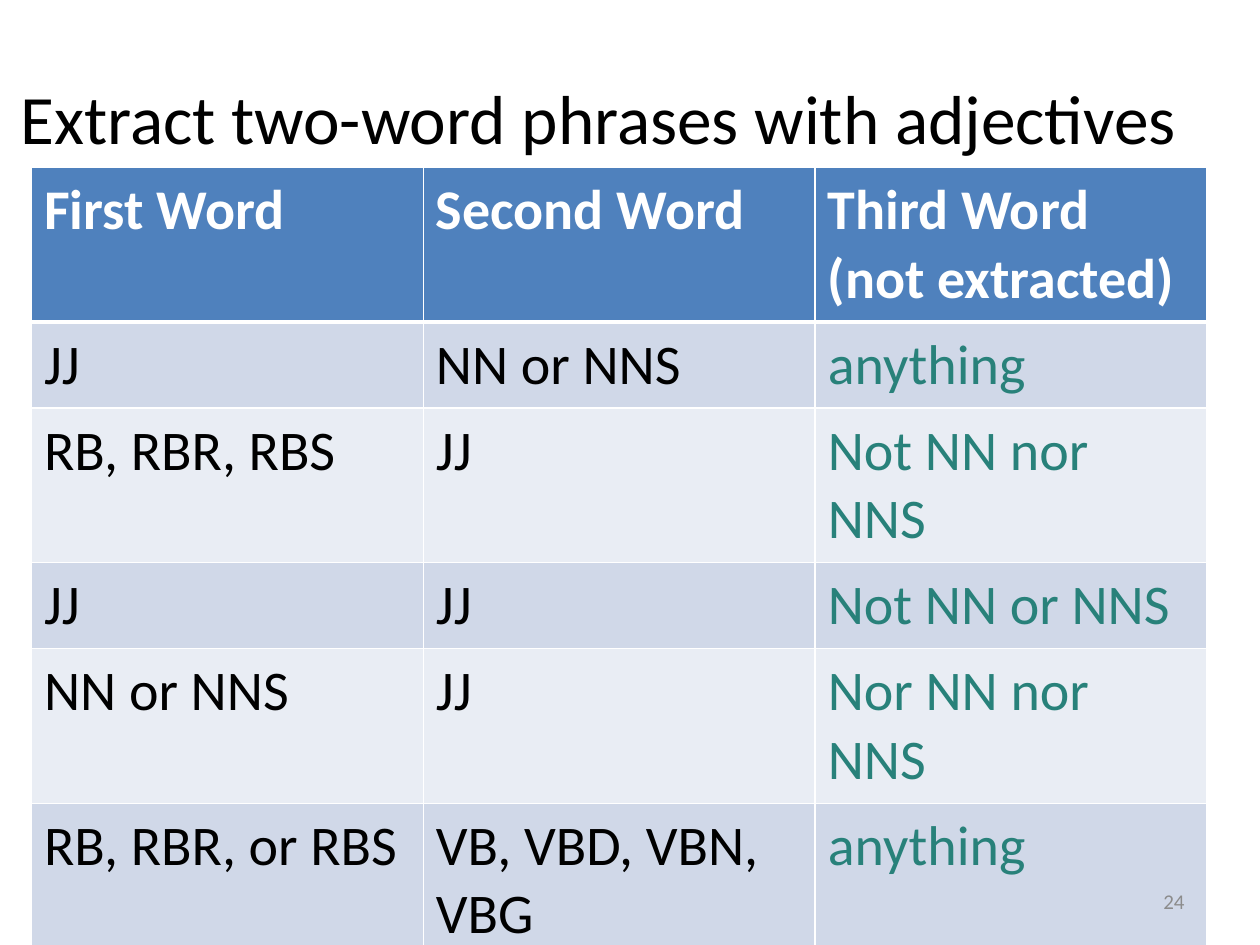
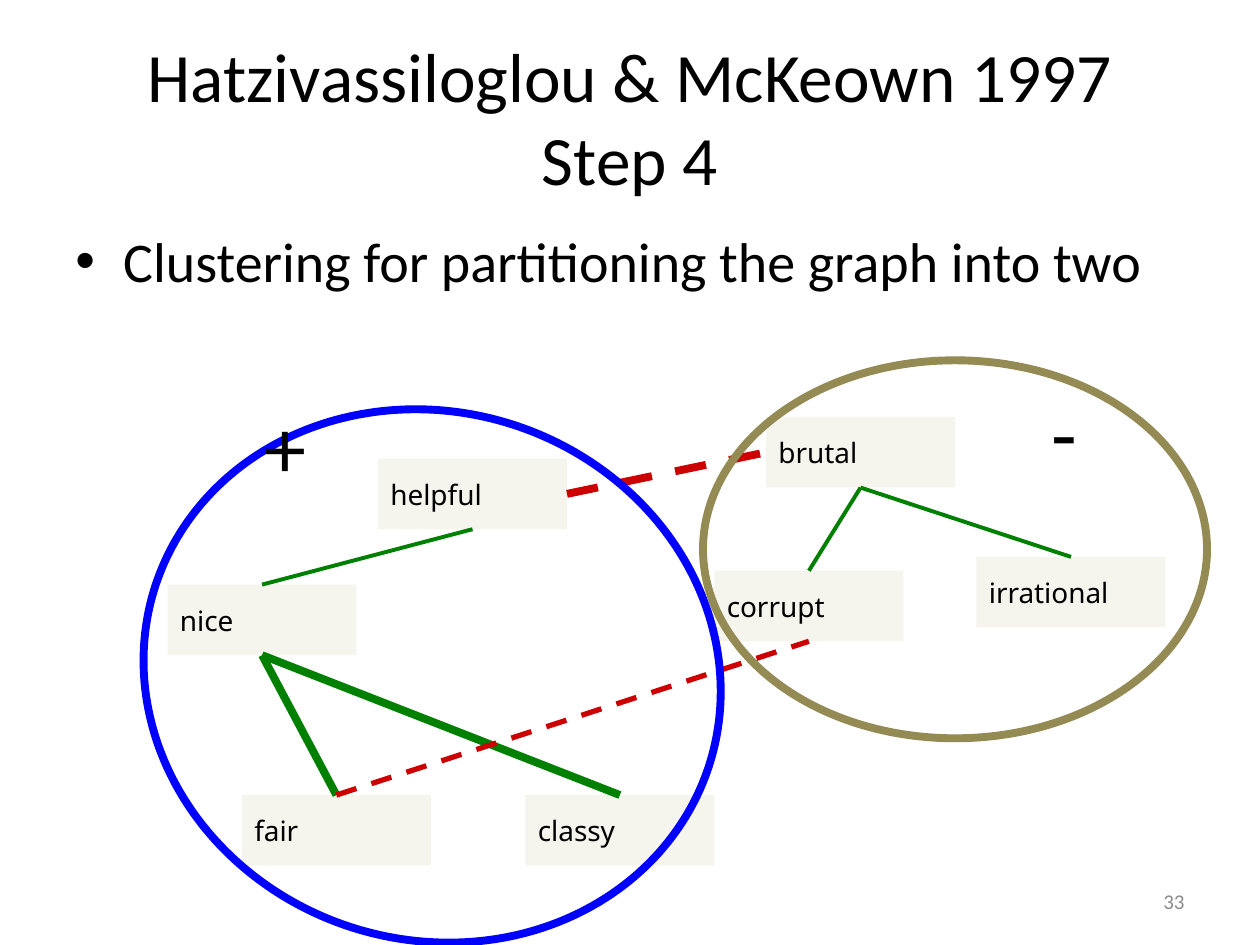
from typing import NamedTuple

from lxml.etree import SubElement
from pptx import Presentation
from pptx.dml.color import RGBColor
from pptx.enum.dml import MSO_LINE
from pptx.enum.shapes import MSO_CONNECTOR, MSO_SHAPE
from pptx.enum.text import MSO_ANCHOR, MSO_AUTO_SIZE, PP_ALIGN
from pptx.oxml import parse_xml
from pptx.oxml.ns import nsdecls, qn
from pptx.util import Inches, Pt

COLORS = {
    "text": "000000", "white": "FFFFFF", "number": "8C8C8C", "header": "4F81BD",
    "band_dark": "D0D8E8", "band_light": "E9EDF4", "third_word": "28817A",
    "node": "F5F4ED", "same": "008000", "opposite": "CC0000",
    "positive": "0000FF", "negative": "948A54",
}
TOP, LEFT, BOTTOM, RIGHT = range(4)
NODE_SIZE = (1.5, 0.56)
PHRASE_ROWS = [
    ("First Word", "Second Word", "Third Word\n(not extracted)"),
    ("JJ", "NN or NNS", "anything"),
    ("RB, RBR, RBS", "JJ", "Not NN nor NNS"),
    ("JJ", "JJ", "Not NN or NNS"),
    ("NN or NNS", "JJ", "Nor NN nor NNS"),
    ("RB, RBR, or RBS", "VB, VBD, VBN, VBG", "anything"),
]


class Node(NamedTuple):
    word: str
    left: float
    top: float


class Link(NamedTuple):
    start: str
    start_site: int
    end: str
    end_site: int
    color: str
    width: float


class Cluster(NamedTuple):
    left: float
    top: float
    width: float
    height: float
    rotation: float
    color: str


class Sign(NamedTuple):
    text: str
    left: float
    top: float
    width: float


NODES = [
    Node("classy", 4.17, 6.31), Node("nice", 1.33, 4.64),
    Node("helpful", 3, 3.64), Node("fair", 1.92, 6.31),
    Node("brutal", 6.08, 3.31), Node("irrational", 7.75, 4.42),
    Node("corrupt", 5.67, 4.53),
]
LINKS = [
    Link("brutal", BOTTOM, "corrupt", TOP, "same", 2.25),
    Link("nice", BOTTOM, "classy", TOP, "same", 4.5),
    Link("nice", BOTTOM, "fair", TOP, "same", 4.5),
    Link("fair", TOP, "corrupt", BOTTOM, "opposite", 3),
    Link("irrational", TOP, "brutal", BOTTOM, "same", 2.25),
    Link("helpful", BOTTOM, "nice", TOP, "same", 2.25),
    Link("helpful", RIGHT, "brutal", LEFT, "opposite", 4.5),
]
CLUSTERS = [
    Cluster(1.12, 3.27, 4.62, 4.19, 18, "positive"),
    Cluster(5.58, 2.86, 4, 3, 0, "negative"),
]
SIGNS = [Sign("+", 2, 3.08, 0.54), Sign("-", 8.25, 2.97, 0.41)]


def rgb(name: str) -> RGBColor:
    return RGBColor.from_string(COLORS[name])


def write(tf, text: str, *, size: float, color: str = "text", font: str = "Calibri",
          bold: bool = False, align=PP_ALIGN.LEFT, anchor=MSO_ANCHOR.TOP, wrap: bool = True):
    tf.word_wrap = wrap
    tf.vertical_anchor = anchor
    p = tf.paragraphs[0]
    p.alignment = align
    for i, line in enumerate(text.split("\n")):
        if i:
            p.add_line_break()
        r = p.add_run()
        r.text = line
        r.font.size = Pt(size)
        r.font.name = font
        r.font.bold = bold
        r.font.color.rgb = rgb(color)
    return p


def add_text(s, text: str, left: float, top: float, width: float, height: float, **style):
    box = s.shapes.add_textbox(Inches(left), Inches(top), Inches(width), Inches(height))
    return write(box.text_frame, text, **style)


def add_slide(prs, title: str, number: int, left: float, width: float):
    s = prs.slides.add_slide(prs.slide_layouts[5])
    sp = s.shapes.title
    sp.left, sp.top = Inches(left), Inches(0.3)
    sp.width, sp.height = Inches(width), Inches(1.25)
    sp.text_frame.auto_size = MSO_AUTO_SIZE.NONE
    write(sp.text_frame, title, size=39.6, align=PP_ALIGN.CENTER, anchor=MSO_ANCHOR.MIDDLE)
    return s


def add_number(s, number: int) -> None:
    add_text(s, str(number), 7.17, 6.95, 2.33, 0.4, size=12, color="number",
             align=PP_ALIGN.RIGHT, anchor=MSO_ANCHOR.MIDDLE)


def set_borders(cell, is_header: bool, under_header: bool) -> None:
    widths = {"lnL": 1, "lnR": 1, "lnT": 3 if under_header else 1, "lnB": 3 if is_header else 1}
    for i, (tag, width) in enumerate(widths.items()):
        cell._tc.get_or_add_tcPr().insert(i, parse_xml(
            f'<a:{tag} {nsdecls("a")} w="{Pt(width)}"><a:solidFill>'
            f'<a:srgbClr val="{COLORS["white"]}"/></a:solidFill></a:{tag}>'))


def add_phrase_table(s) -> None:
    heights = [1.2] + [0.67] * (len(PHRASE_ROWS) - 1)
    table = s.shapes.add_table(len(PHRASE_ROWS), 3, Inches(0.25), Inches(1.33),
                               Inches(9.33), Inches(sum(heights))).table
    for row, (words, height) in enumerate(zip(PHRASE_ROWS, heights)):
        table.rows[row].height = Inches(height)
        for col, word in enumerate(words):
            cell = table.cell(row, col)
            cell.margin_top = cell.margin_bottom = Inches(0.07)
            cell.fill.solid()
            band = "band_dark" if row % 2 else "band_light"
            cell.fill.fore_color.rgb = rgb(band if row else "header")
            color = "third_word" if col == 2 else "text"
            write(cell.text_frame, word, size=32, bold=row == 0,
                  color=color if row else "white")
            set_borders(cell, row == 0, row == 1)


def add_bullet(s, text: str) -> None:
    p = add_text(s, text, 0.5, 1.75, 9, 4.95, size=32)
    p.space_before = Pt(6.4)
    pPr = p._p.get_or_add_pPr()
    pPr.set("marL", str(Inches(0.38)))
    pPr.set("indent", str(-Inches(0.38)))
    SubElement(pPr, qn("a:buFont")).set("typeface", "Arial")
    SubElement(pPr, qn("a:buChar")).set("char", "•")


def add_node(s, node: Node):
    sp = s.shapes.add_shape(MSO_SHAPE.RECTANGLE, Inches(node.left), Inches(node.top),
                            *map(Inches, NODE_SIZE))
    sp.shadow.inherit = False
    sp.fill.solid()
    sp.fill.fore_color.rgb = rgb("node")
    sp.line.fill.background()
    write(sp.text_frame, node.word, size=16, font="Noto Sans", anchor=MSO_ANCHOR.MIDDLE)
    return sp


def add_link(s, link: Link, nodes: dict) -> None:
    line = s.shapes.add_connector(MSO_CONNECTOR.STRAIGHT, 0, 0, 0, 0)
    line.begin_connect(nodes[link.start], link.start_site)
    line.end_connect(nodes[link.end], link.end_site)
    line.line.color.rgb = rgb(link.color)
    line.line.width = Pt(link.width)
    if link.color == "opposite":
        line.line.dash_style = MSO_LINE.DASH
    SubElement(line._element.spPr, qn("a:effectLst"))


def add_cluster(s, cluster: Cluster) -> None:
    sp = s.shapes.add_shape(MSO_SHAPE.OVAL, *map(Inches, cluster[:4]))
    sp.rotation = cluster.rotation
    sp.shadow.inherit = False
    sp.fill.background()
    sp.line.color.rgb = rgb(cluster.color)
    sp.line.width = Pt(4.5)


def build_phrases(prs) -> None:
    s = add_slide(prs, "Extract two-word phrases with adjectives", 24, 0, 9.5)
    add_phrase_table(s)
    add_number(s, 24)


def build_clusters(prs) -> None:
    s = add_slide(prs, "Hatzivassiloglou & McKeown 1997\nStep 4", 33, 0.5, 9)
    add_bullet(s, "Clustering for partitioning the graph into two")
    add_number(s, 33)
    nodes = {node.word: add_node(s, node) for node in NODES}
    for link in LINKS:
        add_link(s, link, nodes)
    for cluster in CLUSTERS:
        add_cluster(s, cluster)
    for sign in SIGNS:
        add_text(s, sign.text, sign.left, sign.top, sign.width, 0.91, size=48, wrap=False)


def main() -> None:
    prs = Presentation()
    prs.slide_width, prs.slide_height = Inches(10), Inches(7.5)
    build_phrases(prs)
    build_clusters(prs)
    prs.save("out.pptx")


if __name__ == "__main__":
    main()
